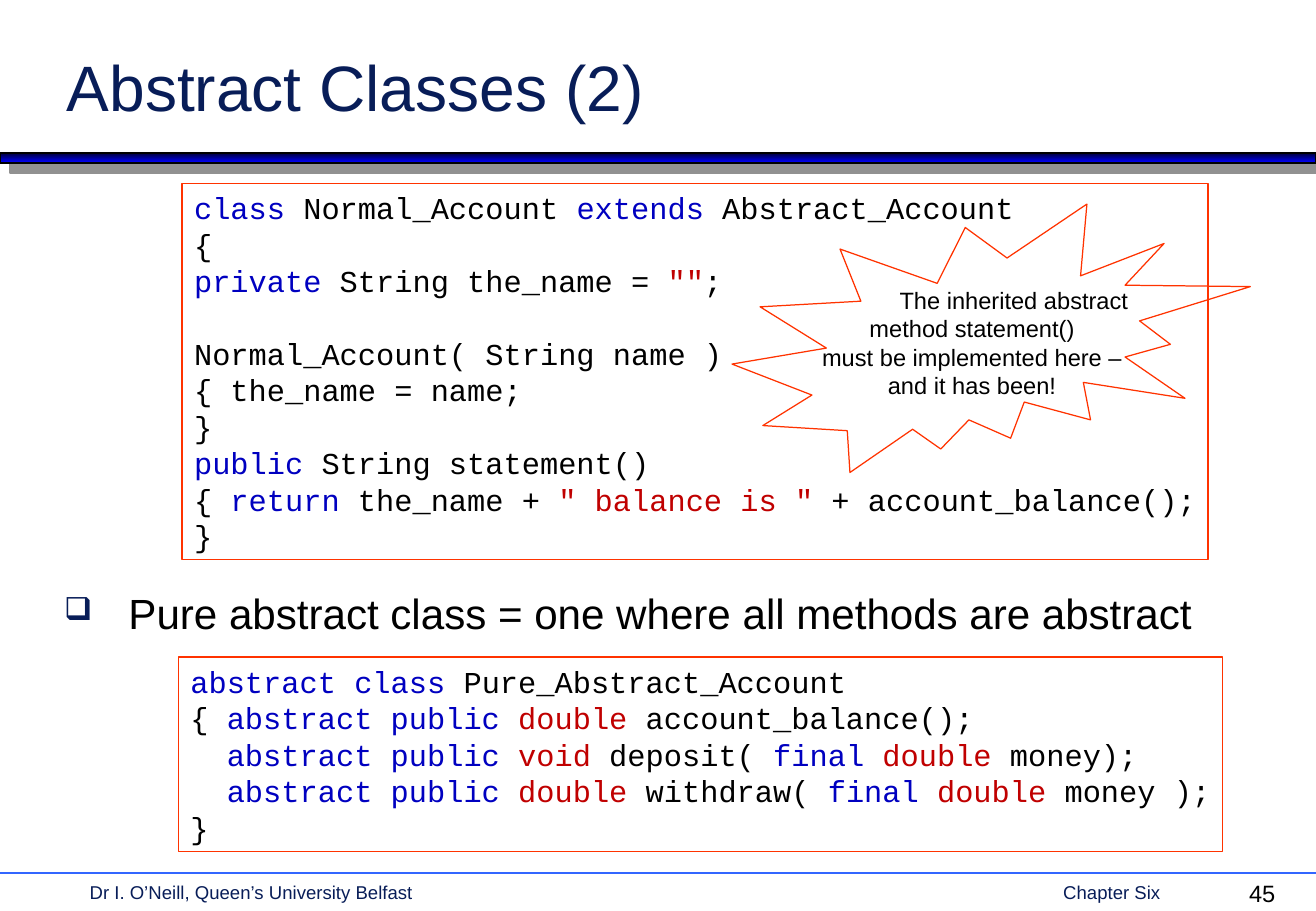
"""Build the slide on abstract classes, with two code listings and a callout."""
import dataclasses
import typing

import lxml.etree
import pptx
import pptx.dml.color
import pptx.enum.shapes
import pptx.enum.text
import pptx.oxml.ns
import pptx.util

Align = pptx.enum.text.PP_ALIGN
Anchor = pptx.enum.text.MSO_ANCHOR
Fit = pptx.enum.text.MSO_AUTO_SIZE
Preset = pptx.enum.shapes.MSO_SHAPE
CELL = pptx.util.Inches(0.1)
COLUMNS, ROWS = 108.4, 75


@dataclasses.dataclass(frozen=True)
class Theme:
    navy: str = "081D58"
    ink: str = "000000"
    keyword: str = "0000C0"
    literal: str = "C00000"
    outline: str = "FF3300"
    rule: str = "3366FF"
    bar_dark: str = "000036"
    bar_bright: str = "0000FF"
    shadow: str = "919191"
    sans: str = "Arial"
    mono: str = "Courier New"
    title_size: float = 38
    bullet_size: float = 25
    code_size: float = 18
    note_size: float = 14
    footer_size: float = 11


THEME = Theme()


class Area(typing.NamedTuple):
    column: float
    row: float
    columns: float
    rows: float

    def lengths(self) -> list[int]:
        return [round(cells * CELL) for cells in self]


class Span(typing.NamedTuple):
    text: str
    colour: str = THEME.ink


Line = list[Span]


class Listing(typing.NamedTuple):
    area: Area
    lines: list[Line]


class Label(typing.NamedTuple):
    area: Area
    text: str
    size: float
    colour: str


def keyword(text: str) -> Span:
    return Span(text, THEME.keyword)


def literal(text: str) -> Span:
    return Span(text, THEME.literal)


def rgb(colour: str) -> pptx.dml.color.RGBColor:
    return pptx.dml.color.RGBColor.from_string(colour)


def add_xml(parent, tag: str, **attributes: str):
    return lxml.etree.SubElement(parent, pptx.oxml.ns.qn(tag), attributes)


def write(frame, lines: list[Line], *, size: float, font: str = THEME.sans,
          align=Align.LEFT, anchor=Anchor.TOP, wrap: bool = True, fit=Fit.NONE) -> None:
    frame.word_wrap = wrap
    frame.auto_size = fit
    frame.vertical_anchor = anchor
    for index, line in enumerate(lines):
        para = frame.add_paragraph() if index else frame.paragraphs[0]
        para.alignment = align
        para.font.size = pptx.util.Pt(size)
        para.font.name = font
        for span in line:
            run = para.add_run()
            run.text = span.text
            run.font.size = pptx.util.Pt(size)
            run.font.name = font
            run.font.color.rgb = rgb(span.colour)


def add_outlined(page, preset, area: Area):
    shape = page.shapes.add_shape(preset, *area.lengths())
    shape.shadow.inherit = False
    shape.fill.background()
    shape.line.color.rgb = rgb(THEME.outline)
    shape.line.width = pptx.util.Pt(0.75)
    return shape


def add_label(page, label: Label):
    box = page.shapes.add_textbox(*label.area.lengths())
    write(box.text_frame, [[Span(label.text, label.colour)]], size=label.size)
    return box


def add_listing(page, listing: Listing) -> None:
    box = add_outlined(page, Preset.RECTANGLE, listing.area)
    write(box.text_frame, listing.lines, size=THEME.code_size, font=THEME.mono,
          wrap=False, fit=Fit.SHAPE_TO_FIT_TEXT)


def add_title_bar(page) -> None:
    bar = page.shapes.add_shape(Preset.RECTANGLE, *Area(0, 12.6, COLUMNS, 0.8).lengths())
    bar.fill.gradient()
    bar.fill.gradient_angle = 270
    for stop, position, colour in zip(bar.fill.gradient_stops, (0, 1),
                                      (THEME.bar_dark, THEME.bar_bright)):
        stop.position = position
        stop.color.rgb = rgb(colour)
    bar.line.color.rgb = rgb(THEME.ink)
    bar.line.width = pptx.util.Pt(1)
    effects = add_xml(bar.element.spPr, "a:effectLst")
    shadow = add_xml(effects, "a:outerShdw", dist=str(pptx.util.Pt(8.5)),
                     dir="2700000", algn="ctr", rotWithShape="0")
    add_xml(shadow, "a:srgbClr", val=THEME.shadow)


def add_footer_rule(page) -> None:
    left, top, width, _ = Area(0, 71.9, COLUMNS, 0).lengths()
    rule = page.shapes.add_connector(pptx.enum.shapes.MSO_CONNECTOR.STRAIGHT,
                                     left, top, left + width, top)
    rule.line.color.rgb = rgb(THEME.rule)
    rule.line.width = pptx.util.Pt(1)
    add_xml(rule.element.spPr, "a:effectLst")


def add_bullet(page, label: Label) -> None:
    box = add_label(page, label)
    indent = pptx.util.Inches(0.53)
    properties = box.text_frame.paragraphs[0]._p.get_or_add_pPr()
    properties.set("marL", str(indent))
    properties.set("indent", str(-indent))
    marks = [add_xml(properties, "a:buClr"),
             add_xml(properties, "a:buSzPct", val="75000"),
             add_xml(properties, "a:buChar", char="❑")]
    add_xml(marks[0], "a:srgbClr", val=THEME.navy)
    for position, mark in enumerate(marks):
        properties.insert(position, mark)


def add_callout(page, area: Area, lines: list[str]) -> None:
    frame = add_outlined(page, Preset.EXPLOSION2, area).text_frame
    write(frame, [[Span(line)] for line in lines], size=THEME.note_size,
          align=Align.CENTER, anchor=Anchor.MIDDLE, wrap=False)
    first = frame.paragraphs[0]._p.get_or_add_pPr()
    first.set("marL", str(pptx.util.Inches(0.69)))
    first.set("indent", "0")


LISTINGS = [
    Listing(Area(15, 15.1, 84.5, 31), [
        [keyword("class"), Span(" Normal_Account "), keyword("extends"),
         Span(" Abstract_Account")],
        [Span("{")],
        [keyword("private"), Span(" String the_name = "), literal('""'), Span(";")],
        [],
        [Span("Normal_Account( String name )")],
        [Span("{ the_name = name;")],
        [Span("}")],
        [keyword("public"), Span(" String statement()")],
        [Span("{ "), keyword("return"), Span(" the_name + "),
         literal('" balance is "'), Span(" + account_balance();")],
        [Span("}")],
    ]),
    Listing(Area(14.7, 54.1, 86, 16), [
        [keyword("abstract class"), Span(" Pure_Abstract_Account")],
        [Span("{ "), keyword("abstract public "), literal("double"),
         Span(" account_balance();")],
        [keyword("  abstract public "), literal("void"), Span(" deposit( "),
         keyword("final "), literal("double"), Span(" money);")],
        [keyword("  abstract public "), literal("double"), Span(" withdraw( "),
         keyword("final "), literal("double"), Span(" money );")],
        [Span("}")],
    ]),
]
FOOTERS = [
    Label(Area(6.4, 72, 40, 3), "Dr I. O’Neill, Queen’s University Belfast",
          THEME.footer_size, THEME.navy),
    Label(Area(86.6, 72, 14, 3), "Chapter Six", THEME.footer_size, THEME.navy),
    Label(Area(101.9, 71.9, 5.8, 3.1), "45", THEME.note_size, THEME.ink),
]
BULLET = Label(Area(4.3, 47.9, 99.9, 6), "Pure abstract class = one where all methods are abstract",
               THEME.bullet_size, THEME.ink)
CALLOUT = ["The inherited abstract", "method statement()",
           "must be implemented here –", "and it has been!"]


def main() -> None:
    deck = pptx.Presentation()
    deck.slide_width, deck.slide_height = Area(0, 0, COLUMNS, ROWS).lengths()[2:]
    page = deck.slides.add_slide(deck.slide_layouts.get_by_name("Title Only"))
    title = page.shapes.title
    title.left, title.top, title.width, title.height = Area(4.5, 2.9, 92.5, 7.8).lengths()
    write(title.text_frame, [[Span("Abstract Classes (2)", THEME.navy)]],
          size=THEME.title_size, anchor=Anchor.BOTTOM)
    add_title_bar(page)
    add_footer_rule(page)
    for footer in FOOTERS:
        add_label(page, footer)
    add_bullet(page, BULLET)
    for listing in LISTINGS:
        add_listing(page, listing)
    add_callout(page, Area(60.3, 16.8, 42.7, 22.1), CALLOUT)
    deck.save("out.pptx")


if __name__ == "__main__":
    main()
